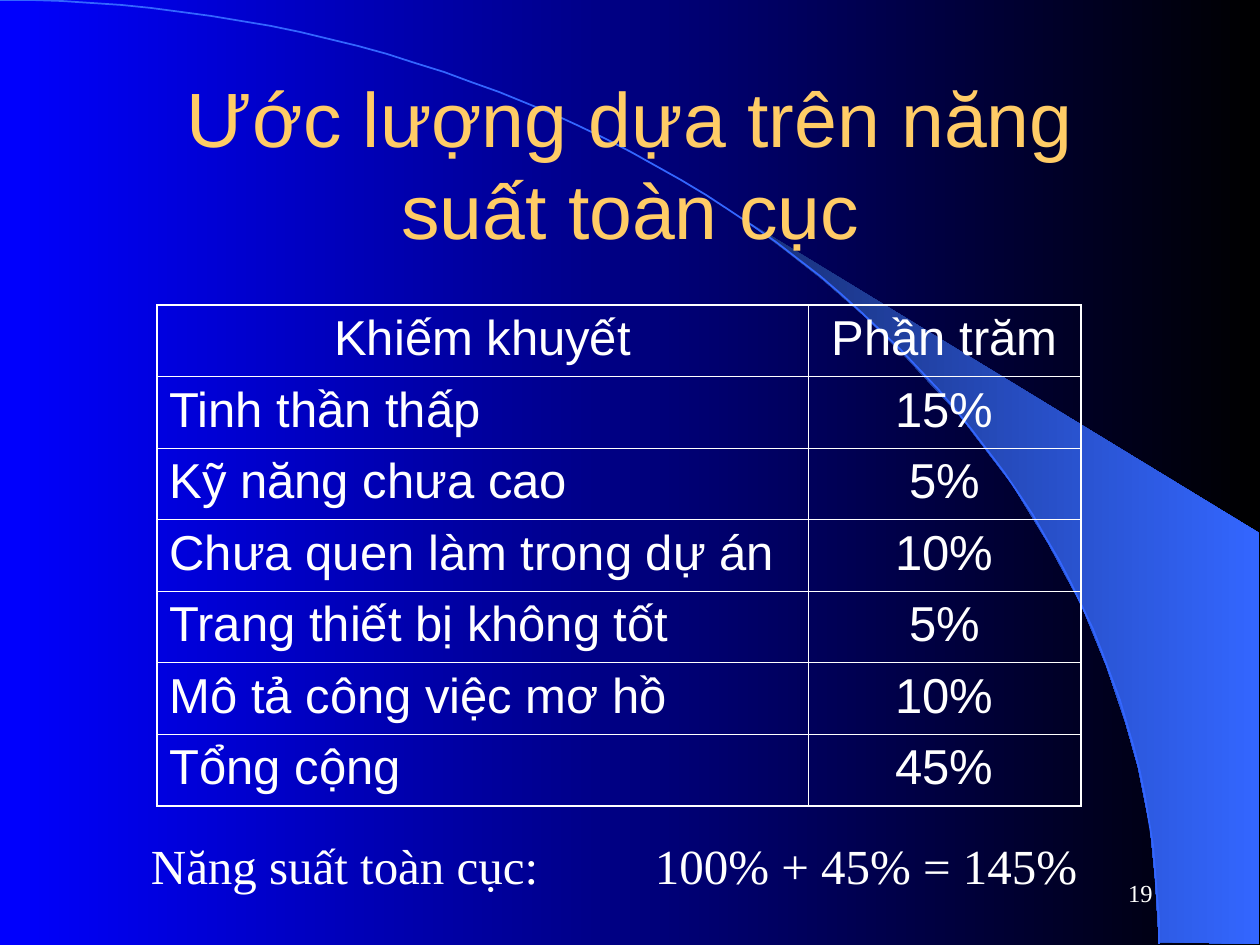
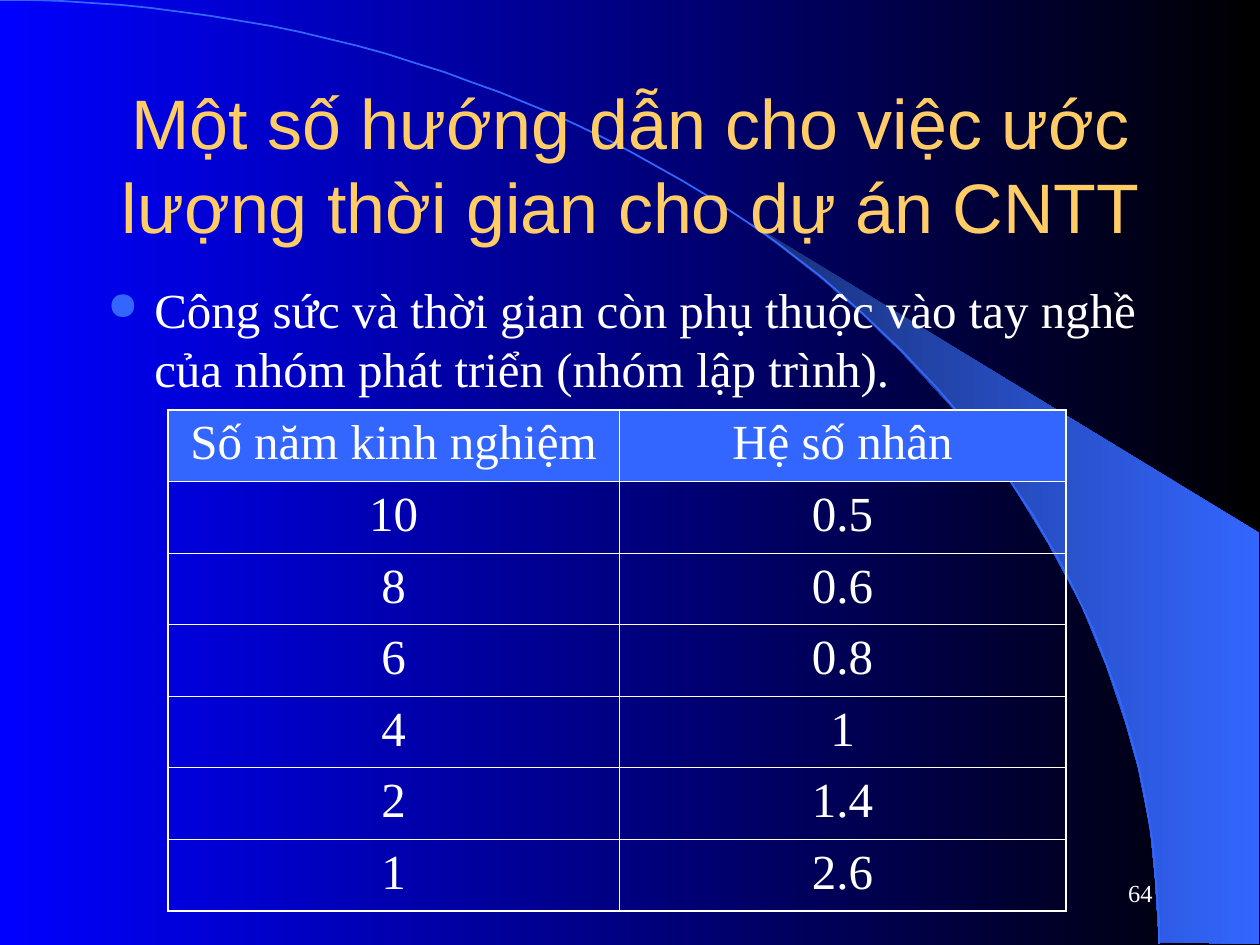
from math import cos, pi, sin

from lxml.etree import SubElement
from pptx import Presentation
from pptx.dml.color import RGBColor
from pptx.enum.text import MSO_ANCHOR as Anchor, PP_ALIGN as Align
from pptx.oxml.ns import qn
from pptx.util import Emu, Pt

SCALE = 914400 / 126
WIDTH, HEIGHT = 1260, 945
SANS, SERIF = "Arial", "Times New Roman"
WHITE, GOLD, BLUE, NAVY = "FFFFFF", "FFCC66", "3366FF", "182F76"
OUTER_LINE, INNER_LINE = 1.08, 0.45
TITLE_BOX = (95, 84, 1071, 158)
NUMBER_BOX = (903, 861, 262, 63)
ARC_WIDTH, ARC_HEIGHT, ARC_STEPS = 1159, 944, 60
WEDGE = [
    (1159, 942), (1259, 944), (1259, 533), (742, 218), (786, 251), (823, 280),
    (863, 315), (902, 353), (960, 416), (1012, 484), (1048, 543), (1081, 604),
    (1106, 665), (1125, 721), (1138, 767), (1150, 827), (1155, 877),
]
SHORTCOMINGS = [
    ("Khiếm khuyết", "Phần trăm"),
    ("Tinh thần thấp", "15%"),
    ("Kỹ năng chưa cao", "5%"),
    ("Chưa quen làm trong dự án", "10%"),
    ("Trang thiết bị không tốt", "5%"),
    ("Mô tả công việc mơ hồ", "10%"),
    ("Tổng cộng", "45%"),
]
EXPERIENCE = [
    ("Số năm kinh nghiệm", "Hệ số nhân"),
    ("10", "0.5"),
    ("8", "0.6"),
    ("6", "0.8"),
    ("4", "1"),
    ("2", "1.4"),
    ("1", "2.6"),
]


def px(length):
    """Turn pixels into EMU."""
    return Emu(round(length * SCALE))


def color(value):
    """Turn a hex string into a colour."""
    return RGBColor.from_string(value)


def assign(target, **values):
    """Set several attributes of one object."""
    for name, value in values.items():
        setattr(target, name, value)


def style_text(paragraph, text, size, font, shade=WHITE, align=Align.LEFT):
    """Write one formatted run into a paragraph."""
    paragraph.alignment = align
    run = paragraph.add_run()
    run.text = text
    assign(run.font, size=Pt(size), name=font)
    run.font.color.rgb = color(shade)


def add_text(slide, box, text, size, font, anchor=Anchor.TOP, **formats):
    """Add a wrapped text box and return its paragraph."""
    frame = slide.shapes.add_textbox(*map(px, box)).text_frame
    assign(frame, word_wrap=True, vertical_anchor=anchor)
    style_text(frame.paragraphs[0], text, size, font, **formats)
    return frame.paragraphs[0]


def set_gradient(fill, *shades):
    """Fill from left to right with two colours."""
    fill.gradient()
    fill.gradient_angle = 0
    for stop, shade in zip(fill.gradient_stops, shades):
        stop.color.rgb = color(shade)


def add_outline(slide, points, close):
    """Add a freeform through the given pixel points."""
    builder = slide.shapes.build_freeform(*points[0], scale=SCALE)
    builder.add_line_segments(points[1:], close=close)
    shape = builder.convert_to_shape()
    shape.shadow.inherit = False
    return shape


def add_backdrop(slide):
    """Draw the gradient background, the wedge and the arc."""
    set_gradient(slide.background.fill, "0000FF", "000000")
    wedge = add_outline(slide, WEDGE, True)
    set_gradient(wedge.fill, NAVY, BLUE)
    wedge.line.fill.background()
    angles = [pi / 2 * step / ARC_STEPS for step in range(ARC_STEPS + 1)]
    curve = [(ARC_WIDTH * sin(a), ARC_HEIGHT * (1 - cos(a))) for a in angles]
    arc = add_outline(slide, curve, False)
    arc.fill.background()
    arc.line.width = Pt(1)
    arc.line.color.rgb = color(BLUE)


def add_base_slide(presentation, title, title_size, number):
    """Add a slide with the shared backdrop, number and title."""
    slide = presentation.slides.add_slide(presentation.slide_layouts[6])
    add_backdrop(slide)
    add_text(slide, NUMBER_BOX, number, 14, SERIF, Anchor.MIDDLE, align=Align.RIGHT)
    add_text(slide, TITLE_BOX, title, title_size, SANS, Anchor.MIDDLE,
             shade=GOLD, align=Align.CENTER)
    return slide


def set_borders(cell, widths):
    """Draw white cell borders with a width for each side."""
    properties = cell._tc.get_or_add_tcPr()
    for side, width in widths.items():
        line = SubElement(properties, qn(f"a:ln{side}"), w=str(Pt(width)))
        fill = SubElement(line, qn("a:solidFill"))
        SubElement(fill, qn("a:srgbClr"), val=WHITE)


def add_grid(slide, box, first_width, rows, font, first_align, header_fill=None):
    """Add a two-column table with a heavier outer border."""
    left, top, width, height = box
    frame = slide.shapes.add_table(len(rows), 2, *map(px, box))
    table = frame.table
    assign(table, first_row=False, horz_banding=False)
    for column, column_width in zip(table.columns, (first_width, width - first_width)):
        column.width = px(column_width)
    last = len(rows) - 1
    for row_index, texts in enumerate(rows):
        table.rows[row_index].height = px(height / len(rows))
        for column_index, text in enumerate(texts):
            cell = table.cell(row_index, column_index)
            edges = {"L": column_index == 0, "R": column_index == 1,
                     "T": row_index == 0, "B": row_index == last}
            set_borders(cell, {side: OUTER_LINE if outer else INNER_LINE
                               for side, outer in edges.items()})
            if header_fill and row_index == 0:
                cell.fill.solid()
                cell.fill.fore_color.rgb = color(header_fill)
            else:
                cell.fill.background()
            body_label = row_index > 0 and column_index == 0
            style_text(cell.text_frame.paragraphs[0], text, 28, font,
                       align=first_align if body_label else Align.CENTER)


def add_tab(paragraph, position):
    """Add a left tab stop to a paragraph."""
    stops = SubElement(paragraph._p.get_or_add_pPr(), qn("a:tabLst"))
    SubElement(stops, qn("a:tab"), pos=str(px(position)), algn="l")


def add_bullet(paragraph, indent):
    """Give a paragraph a blue round bullet and a hanging indent."""
    properties = paragraph._p.get_or_add_pPr()
    properties.set("marL", str(px(indent)))
    properties.set("indent", str(px(-indent)))
    shade = SubElement(properties, qn("a:buClr"))
    SubElement(shade, qn("a:srgbClr"), val=BLUE)
    SubElement(properties, qn("a:buSzPct"), val="80000")
    SubElement(properties, qn("a:buChar"), char="●")


def add_productivity_slide(presentation):
    """Build the slide on overall productivity."""
    slide = add_base_slide(presentation, "Ước lượng dựa trên năng suất toàn cục", 44, "19")
    add_grid(slide, (157, 305, 924, 501), 651, SHORTCOMINGS, SANS, Align.LEFT)
    total = add_text(slide, (136, 829, 956, 72),
                     "Năng suất toàn cục:\t100% + 45% = 145%", 28, SERIF,
                     align=Align.CENTER)
    add_tab(total, 504)


def add_experience_slide(presentation):
    """Build the slide on the team's experience."""
    slide = add_base_slide(
        presentation, "Một số hướng dẫn cho việc ước lượng thời gian cho dự án CNTT", 40, "64")
    point = add_text(
        slide, (95, 273, 1071, 158),
        "Công sức và thời gian còn phụ thuộc vào tay nghề của nhóm phát triển (nhóm lập trình).",
        28, SERIF)
    add_bullet(point, 47)
    add_grid(slide, (168, 410, 898, 501), 451, EXPERIENCE, SERIF, Align.CENTER, BLUE)


def main():
    """Build and save the presentation."""
    presentation = Presentation()
    assign(presentation, slide_width=px(WIDTH), slide_height=px(HEIGHT))
    add_productivity_slide(presentation)
    add_experience_slide(presentation)
    presentation.save("out.pptx")


if __name__ == "__main__":
    main()
